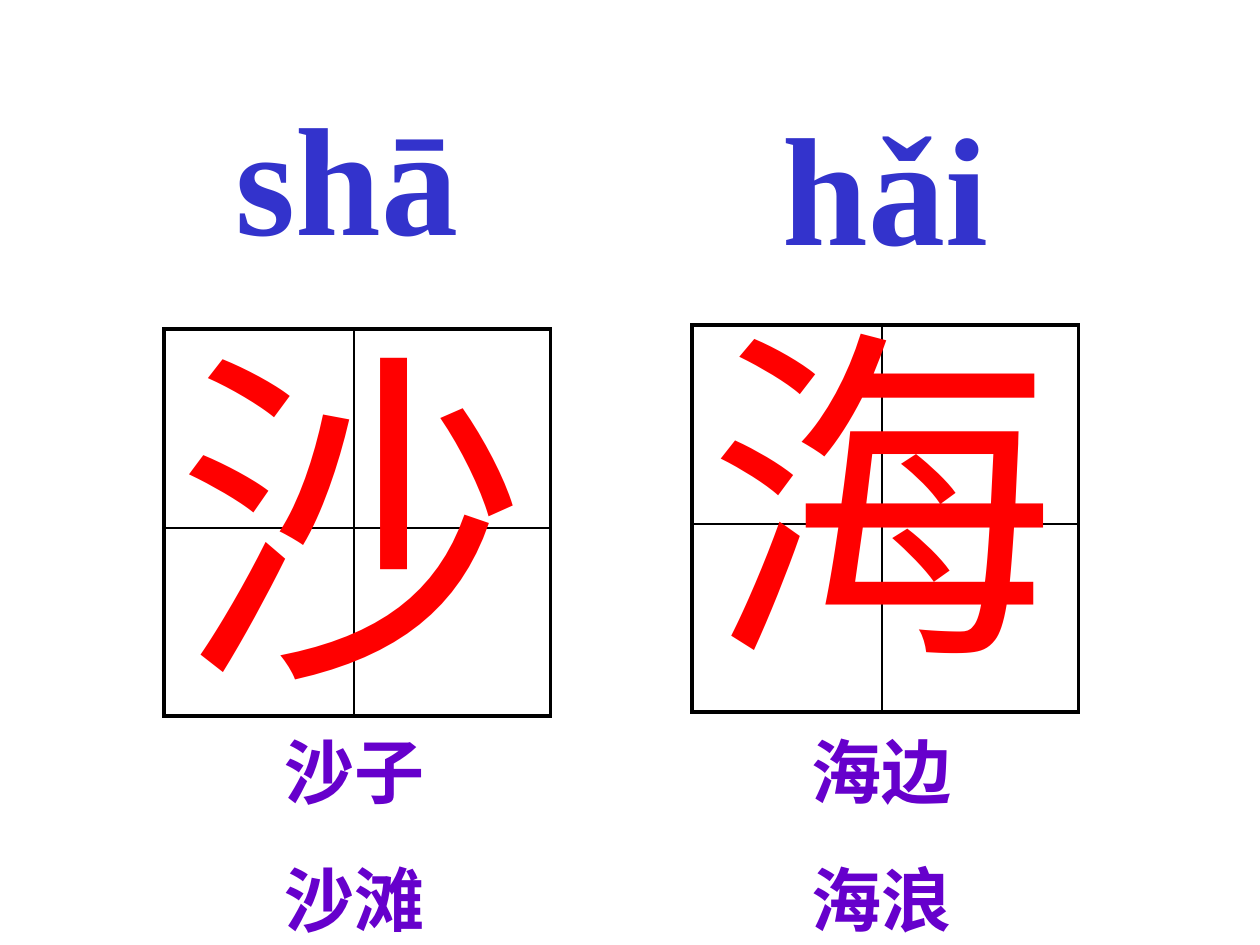
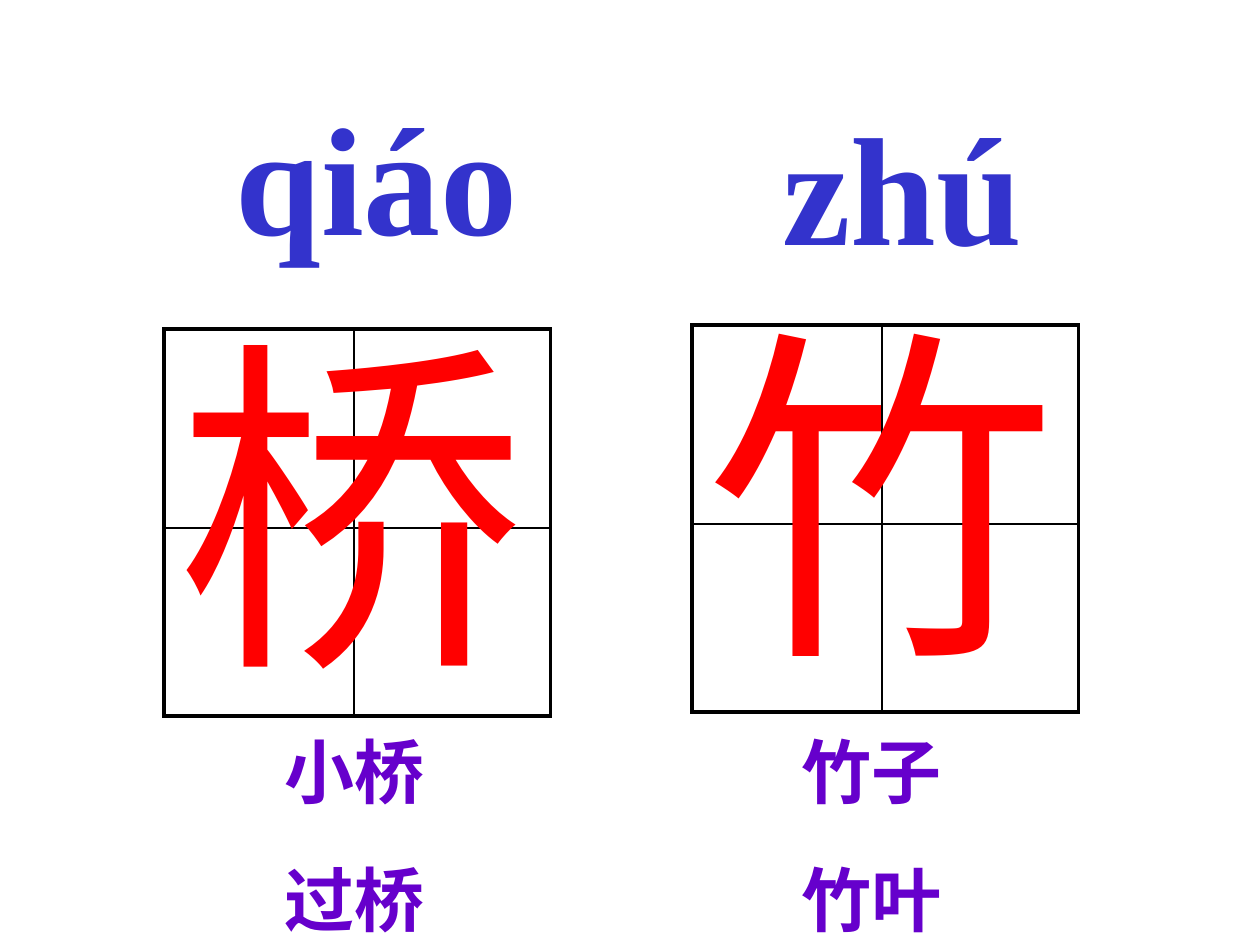
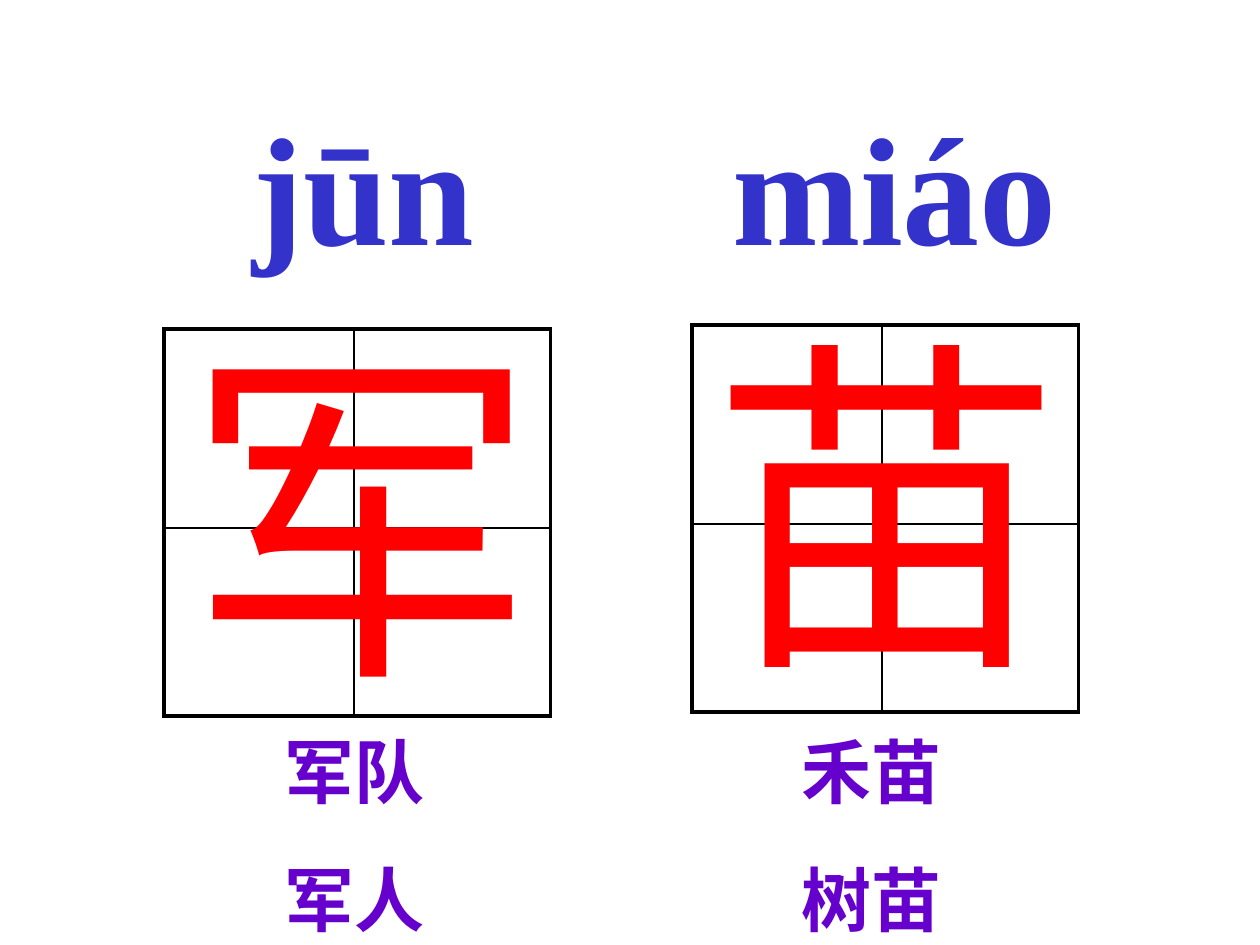
from dataclasses import dataclass

from lxml.etree import SubElement
from pptx import Presentation
from pptx.dml.color import RGBColor
from pptx.enum.shapes import MSO_CONNECTOR, MSO_SHAPE
from pptx.enum.text import MSO_ANCHOR, MSO_AUTO_SIZE, PP_ALIGN
from pptx.oxml.ns import qn
from pptx.util import Inches, Pt

COLORS = {"pinyin": "3333CC", "character": "FF0000", "word": "6600CC", "grid": "000000"}
SIZES = {"pinyin": 88, "character": 200, "word": 40}
FONT = "Times New Roman"
COLUMNS, ROWS = 100, 75
COMPARISON_LAYOUT = 4
GRID_SIDE = 30.7
GRID_CORNERS = [(13, 26.1), (54.9, 25.8)]
CROSS = (15.1, 15.8)


@dataclass
class Card:
    """One character with its reading, its words and their boxes in grid units."""

    pinyin: str
    pinyin_box: tuple
    character: str
    character_box: tuple
    words: list
    words_box: tuple


LESSONS = [
    [
        Card("shā", (17.7, 6, 19.6, 15.7), "沙", (13, 23.3, 30.7, 34.4),
             ["沙子", "沙滩"], (21.6, 57.3, 15, 17.8)),
        Card("hǎi", (61.1, 6.8, 18.3, 15.7), "海", (55.1, 21.6, 37.8, 34.4),
             ["海边", "海浪"], (63.4, 57.3, 13.1, 17.8)),
    ],
    [
        Card("qiáo", (17.7, 6, 24.4, 15.7), "桥", (13, 22.5, 30.7, 34.4),
             ["小桥", "过桥"], (21.6, 57.3, 15, 17.8)),
        Card("zhú", (61.1, 6.8, 21, 15.7), "竹", (55.1, 21.6, 37.8, 34.4),
             ["竹子", "竹叶"], (62.6, 57.3, 13.1, 17.8)),
    ],
    [
        Card("jūn", (19, 6.8, 19.6, 15.7), "军", (13.8, 23.3, 30.7, 34.4),
             ["军队", "军人"], (21.6, 57.3, 15, 17.8)),
        Card("miáo", (57.1, 6.8, 27.8, 15.7), "苗", (55.5, 22.5, 37.8, 34.4),
             ["禾苗", "树苗"], (62.6, 57.3, 13.1, 17.8)),
    ],
]


class CharacterDeck:
    """Holds the shared style and the slide being filled."""

    def __init__(self):
        """Open a blank deck."""
        self.deck = Presentation()
        self.deck.slide_width, self.deck.slide_height = Inches(10), Inches(7.5)
        self.page = None

    def start_page(self):
        """Add a slide with two headings and two lists."""
        self.page = self.deck.slides.add_slide(self.deck.slide_layouts[COMPARISON_LAYOUT])
        title = self.page.shapes.title.element
        title.getparent().remove(title)

    def scale(self, *lengths):
        """Turn alternating columns and rows into slide lengths."""
        units = (self.deck.slide_width / COLUMNS, self.deck.slide_height / ROWS)
        return [round(length * units[index % 2]) for index, length in enumerate(lengths)]

    def writing_grid(self, left, top):
        """Draw a square crossed by two thin lines."""
        group = self.page.shapes.add_group_shape()
        square = group.shapes.add_shape(
            MSO_SHAPE.RECTANGLE, *self.scale(left, top, GRID_SIDE, GRID_SIDE))
        square.shadow.inherit = False
        square.fill.background()
        self.outline(square, 2.25)
        right, bottom = left + GRID_SIDE, top + GRID_SIDE
        across, down = left + CROSS[0], top + CROSS[1]
        for ends in [(left, down, right, down), (across, top, across, bottom)]:
            line = group.shapes.add_connector(MSO_CONNECTOR.STRAIGHT, *self.scale(*ends))
            self.outline(line, 0.75)
            SubElement(line.element.spPr, qn("a:effectLst"))

    def outline(self, shape, width):
        """Give a shape or a line the grid's stroke with sharp corners."""
        shape.line.color.rgb = RGBColor.from_string(COLORS["grid"])
        shape.line.width = Pt(width)
        SubElement(shape.element.spPr.find(qn("a:ln")), qn("a:miter")).set("lim", "800000")

    def text(self, box, place, lines, role):
        """Place a box and fill it with lines in the style of the role."""
        box.left, box.top, box.width, box.height = self.scale(*place)
        frame = box.text_frame
        frame.text = "\n".join(lines)
        frame.word_wrap = True
        frame.margin_right = 0
        frame.auto_size = MSO_AUTO_SIZE.NONE
        frame.vertical_anchor = MSO_ANCHOR.TOP
        for index, para in enumerate(frame.paragraphs):
            properties = para._p.get_or_add_pPr()
            properties.set("marL", "0")
            properties.set("indent", "0")
            SubElement(properties, qn("a:buNone"))
            para.alignment = PP_ALIGN.LEFT
            para.line_spacing = Pt(SIZES[role] * 1.2)
            para.space_before = Pt(25 if index else 0)
            for span in para.runs:
                self.style(span, role)

    def style(self, span, role):
        """Format a run for its role."""
        span.font.size = Pt(SIZES[role])
        span.font.bold = role != "character"
        span.font.color.rgb = RGBColor.from_string(COLORS[role])
        span.font.name = FONT

    def card(self, card, corner, heading, listing):
        """Show one character with its grid, reading and words."""
        self.writing_grid(*corner)
        character = self.page.shapes.add_textbox(*self.scale(*card.character_box))
        self.text(character, card.character_box, [card.character], "character")
        self.text(heading, card.pinyin_box, [card.pinyin], "pinyin")
        self.text(listing, card.words_box, card.words, "word")


def main():
    """Build one slide per pair of characters."""
    builder = CharacterDeck()
    for lesson in LESSONS:
        builder.start_page()
        boxes = list(builder.page.placeholders)
        for card, corner, heading, listing in zip(lesson, GRID_CORNERS, boxes[::2], boxes[1::2]):
            builder.card(card, corner, heading, listing)
    builder.deck.save("out.pptx")


if __name__ == "__main__":
    main()
